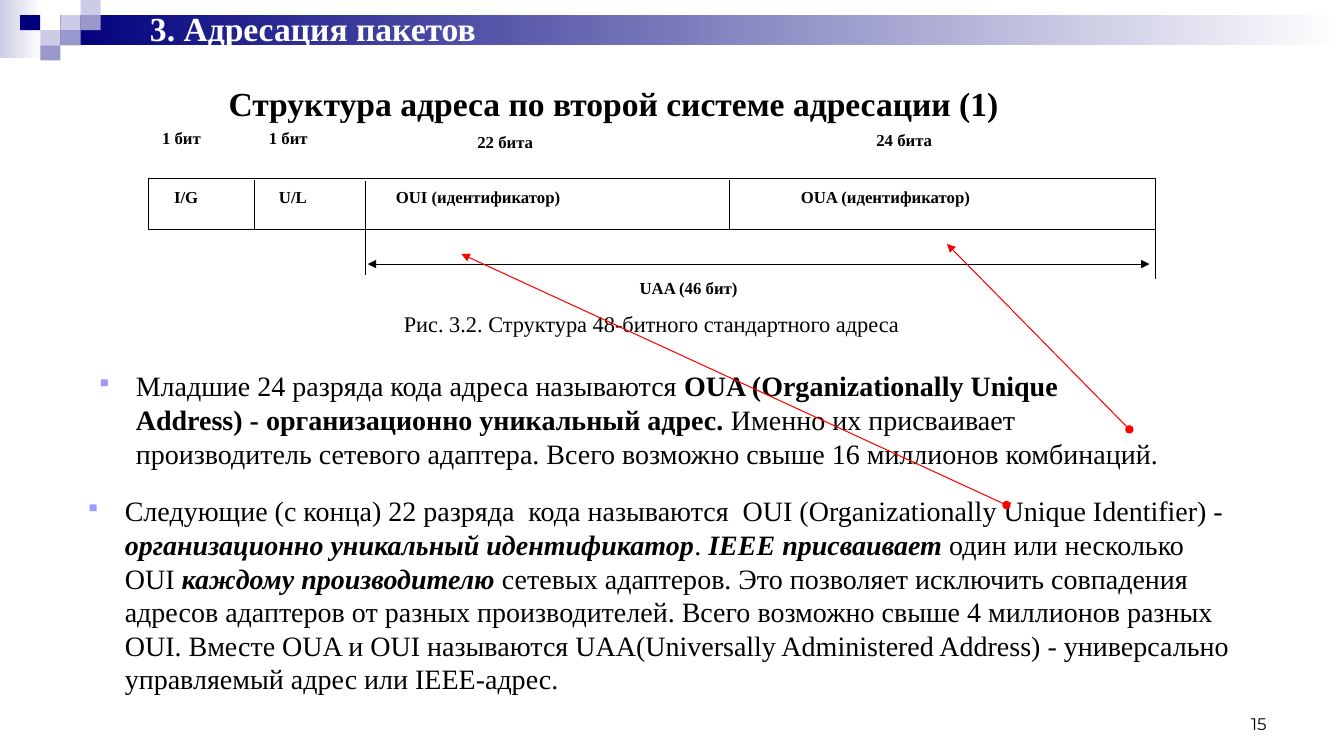
"""Builds the slide about the structure of a 48-bit network address."""
import pptx
import pptx.dml.color
import pptx.enum.shapes
import pptx.enum.text
import pptx.oxml.ns
import pptx.util
from lxml import etree

Inches = pptx.util.Inches
Anchor = pptx.enum.text.MSO_ANCHOR
Align = pptx.enum.text.PP_ALIGN
qn = pptx.oxml.ns.qn


def color(value):
    return pptx.dml.color.RGBColor.from_string(value)


class Slide:
    font = "Times New Roman"
    ink = "000000"
    bullet_color = "9999FF"

    def __init__(self, deck):
        self.page = deck.slides.add_slide(deck.slide_layouts[6])

    def rect(self, left, top, width, height, fill, end=None, line=None):
        box = self.page.shapes.add_shape(
            pptx.enum.shapes.MSO_SHAPE.RECTANGLE,
            Inches(left), Inches(top), Inches(width), Inches(height))
        box.shadow.inherit = False
        if end:
            box.fill.gradient()
            box.fill.gradient_angle = 0
            for stop, value in zip(box.fill.gradient_stops, (fill, end)):
                stop.color.rgb = color(value)
        else:
            box.fill.solid()
            box.fill.fore_color.rgb = color(fill)
        if line:
            box.line.color.rgb = color(line)
            box.line.width = pptx.util.Pt(0.75)
        else:
            box.line.fill.background()
        return box

    def line(self, x1, y1, x2, y2, ink=ink, head=None, tail=None):
        line = self.page.shapes.add_connector(
            pptx.enum.shapes.MSO_CONNECTOR.STRAIGHT,
            Inches(x1), Inches(y1), Inches(x2), Inches(y2))
        line.line.color.rgb = color(ink)
        line.line.width = pptx.util.Pt(0.75)
        outline = line._element.spPr.find(qn("a:ln"))
        for tag, kind in (("a:headEnd", head), ("a:tailEnd", tail)):
            if kind:
                etree.SubElement(outline, qn(tag), type=kind)
        etree.SubElement(line._element.spPr, qn("a:effectLst"))

    def put_text(self, box, spans, size, ink=ink, font=font, align=Align.LEFT,
                 anchor=Anchor.TOP, wrap=True, bullet=False):
        frame = box.text_frame
        frame.word_wrap = wrap
        frame.vertical_anchor = anchor
        para = frame.paragraphs[0]
        para.alignment = align
        if bullet:
            self.bullet(para)
        for text, style in spans:
            span = para.add_run()
            span.text = text
            span.font.name = font
            span.font.size = pptx.util.Pt(size)
            span.font.color.rgb = color(ink)
            span.font.bold = "b" in style
            span.font.italic = "i" in style

    def bullet(self, para):
        props = para._p.get_or_add_pPr()
        props.set("marL", str(Inches(0.39)))
        props.set("indent", str(Inches(-0.39)))
        paint = etree.SubElement(props, qn("a:buClr"))
        etree.SubElement(paint, qn("a:srgbClr"), val=self.bullet_color)
        etree.SubElement(props, qn("a:buSzPct"), val="75000")
        etree.SubElement(props, qn("a:buChar"), char="▪")

    def text(self, left, top, width, height, spans, size, **style):
        box = self.page.shapes.add_textbox(
            Inches(left), Inches(top), Inches(width), Inches(height))
        self.put_text(box, spans, size, **style)

    def label(self, left, top, width, text):
        box = self.rect(left, top, width, 0.45, "FFFFFF")
        self.put_text(box, [(text, "b")], 12)


def draw_header(slide):
    navy, violet, pale = "00007D", "9999CC", "CCCCE6"
    slide.rect(0, 0, 0.42, 0.58, pale, end="FFFFFF")
    slide.rect(0.6, 0.15, 12.73, 0.3, navy, end="FFFFFF")
    tiles = [(3, 1, pale), (4, 0, pale), (4, 1, violet), (2, 2, pale),
             (1, 1, navy), (3, 2, violet), (2, 3, violet)]
    for column, row, fill in tiles:
        slide.rect(column * 0.2, row * 0.15, 0.2, 0.15, fill)


def draw_address(slide):
    slide.rect(1.47, 1.77, 10, 0.51, "FFFFFF", line=slide.ink)
    for x, top, bottom in [(2.53, 1.79, 2.28), (7.24, 1.79, 2.28),
                           (3.63, 1.8, 2.73), (11.47, 2.28, 2.77)]:
        slide.line(x, top, x, bottom)
    slide.line(3.65, 2.62, 11.41, 2.62, head="triangle", tail="triangle")
    for label in [(3.83, 1.8, 3.11, "OUI (идентификатор)"),
                  (7.85, 1.8, 3.11, "OUA (идентификатор)"),
                  (6.25, 2.71, 2.11, "UAA (46 бит)"),
                  (1.63, 1.8, 0.77, "I/G"),
                  (2.67, 1.8, 0.91, "U/L"),
                  (1.51, 1.22, 0.98, "1 бит"),
                  (2.57, 1.22, 0.98, "1 бит"),
                  (4.64, 1.26, 1.4, "22 бита"),
                  (8.6, 1.24, 1.4, "24 бита")]:
        slide.label(*label)


def main():
    deck = pptx.Presentation()
    deck.slide_width, deck.slide_height = Inches(13.34), Inches(7.5)
    slide = Slide(deck)
    draw_header(slide)
    slide.text(2.17, 0.83, 9, 0.38,
               [("Структура адреса по второй системе адресации (1)", "b")],
               24, anchor=Anchor.MIDDLE)
    draw_address(slide)
    slide.text(0.75, 4.85, 11.58, 2.1, [
        ("Следующие (с конца) 22 разряда  кода называются  OUI "
         "(Organizationally Unique Identifier) - ", ""),
        ("организационно уникальный идентификатор", "bi"),
        (". ", ""),
        ("IEEE присваивает ", "bi"),
        ("один или несколько OUI ", ""),
        ("каждому производителю", "bi"),
        (" сетевых адаптеров. Это позволяет исключить совпадения адресов "
         "адаптеров от разных производителей. Всего возможно свыше "
         "4 миллионов разных OUI. Вместе OUA и OUI называются "
         "UAA(Universally Administered Address) - универсально управляемый "
         "адрес или IEEE-адрес.", "")], 20, bullet=True)
    slide.text(3.91, 3.03, 5.13, 0.37,
               [("Рис. 3.2. Структура 48-битного стандартного адреса", "")],
               16, anchor=Anchor.MIDDLE, wrap=False)
    slide.text(9.56, 6.83, 3.11, 0.5, [("15", "")], 12, font="Montserrat",
               align=Align.RIGHT, anchor=Anchor.BOTTOM)
    slide.text(0.86, 3.61, 10.8, 1.44, [
        ("Младшие 24 разряда кода адреса называются ", ""),
        ("OUA (Organizationally Unique Address) - "
         "организационно уникальный адрес.", "b"),
        (" Именно их присваивает производитель сетевого адаптера. "
         "Всего возможно свыше 16 миллионов комбинаций.", "")],
        20, bullet=True)
    for start, end in [((11.21, 4.26), (9.4, 2.42)),
                       ((9.99, 5.01), (4.58, 2.52))]:
        slide.line(*start, *end, ink="FF0000", head="oval", tail="triangle")
    slide.text(1.39, 0, 3.62, 0.55, [("3. Адресация пакетов", "b")], 24,
               ink="FFFFFF", anchor=Anchor.MIDDLE)
    deck.save("out.pptx")


if __name__ == "__main__":
    main()
